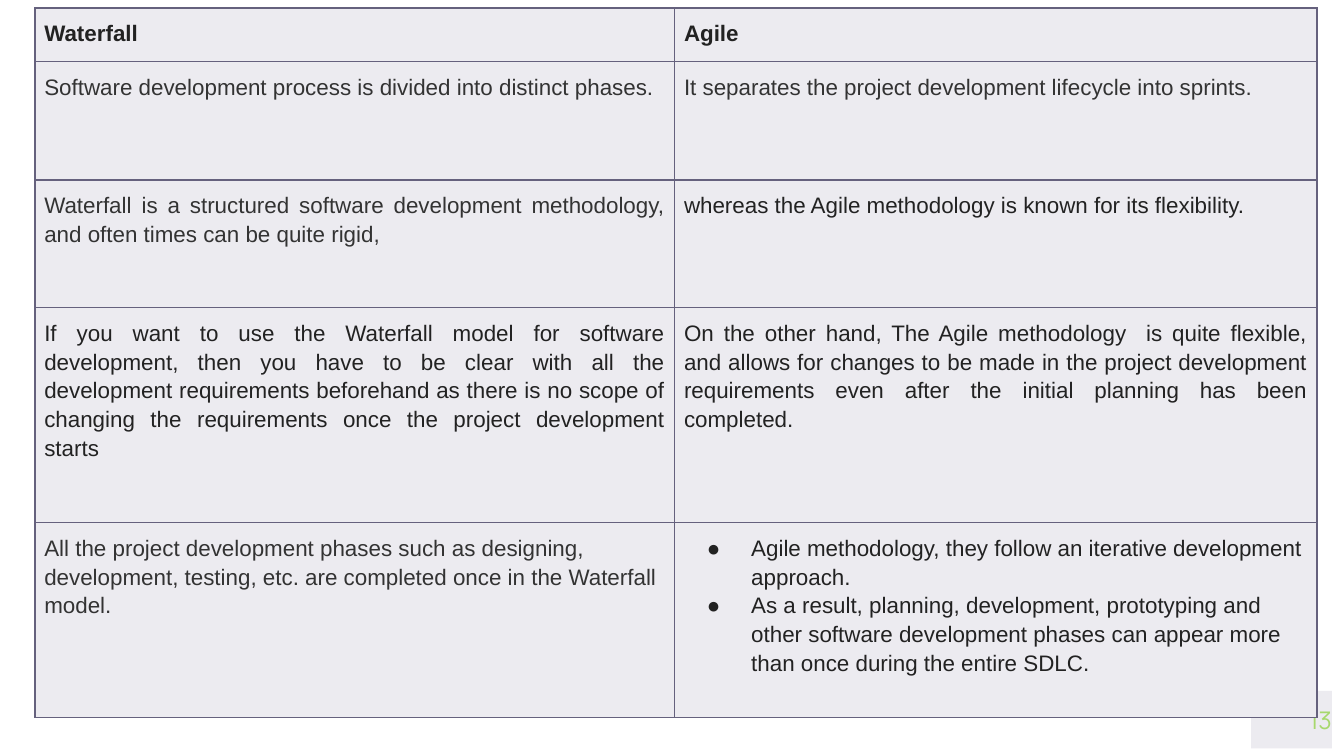
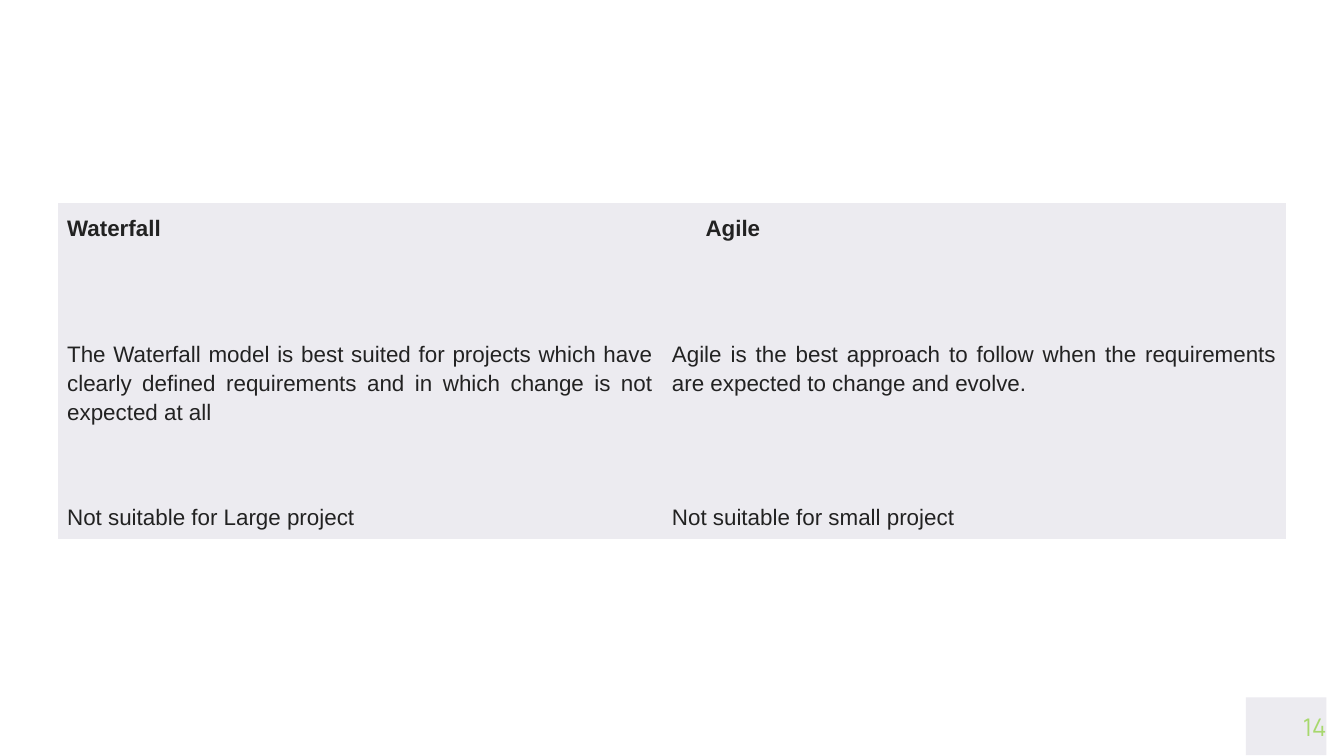
from lxml.etree import SubElement
from pptx import Presentation
from pptx.dml.color import RGBColor
from pptx.enum.shapes import MSO_SHAPE
from pptx.enum.text import MSO_ANCHOR, PP_ALIGN
from pptx.oxml.ns import qn
from pptx.util import Emu, Pt

PX = 9144
PANEL, BORDER, DARK, GREY, GREEN = "ECEBF0", "65617D", "222222", "333333", "A7D86D"
NO_STYLE = "{2D5ABB26-0587-4C30-8999-92F81FD0307C}"


def px(value):
    return Emu(value * PX)


def color(value):
    return RGBColor.from_string(value)


slides = [
    {
        "number": "13", "number_at": (931, 514), "table_at": (26, 6),
        "columns": [476, 478], "rows": [40, 88, 95, 160, 145], "bordered": True,
        "cells": [
            [("Waterfall", DARK), ("Agile", DARK)],
            [("Software development process is divided into distinct phases.", GREY),
             ("It separates the project development lifecycle into sprints.", GREY)],
            [("Waterfall is a structured software development methodology, "
              "and often times can be quite rigid,", GREY),
             ("whereas the Agile methodology is known for its flexibility.", DARK)],
            [("If you want to use the Waterfall model for software development, then you "
              "have to be clear with all the development requirements beforehand as there "
              "is no scope of changing the requirements once the project development starts", DARK),
             ("On the other hand, The Agile methodology  is quite flexible, and allows for "
              "changes to be made in the project development requirements even after the "
              "initial planning has been completed.", DARK)],
            [("All the project development phases such as designing, development, testing, "
              "etc. are completed once in the Waterfall model.", GREY),
             ("Agile methodology, they follow an iterative development approach.\n"
              "As a result, planning, development, prototyping and other software "
              "development phases can appear more than once during the entire SDLC.", DARK)],
        ],
        "left_aligned": [(4, 0), (4, 1)], "bulleted": [(4, 1)], "indents": {(4, 1): (50, -33)},
    },
    {
        "number": "14", "number_at": (927, 519), "table_at": (43, 151),
        "columns": [450, 464], "rows": [94, 121, 29], "bordered": False,
        "cells": [
            [("Waterfall", DARK), ("Agile", DARK)],
            [("The Waterfall model is best suited for projects which have clearly defined "
              "requirements and in which change is not expected at all", DARK),
             ("Agile is the best approach to follow when the requirements are expected to "
              "change and evolve.", DARK)],
            [("Not suitable for Large project", DARK), ("Not suitable for small project", DARK)],
        ],
        "left_aligned": [], "bulleted": [], "indents": {(0, 1): (50, -25)},
    },
]

presentation = Presentation()
presentation.slide_width = px(1000)
presentation.slide_height = Emu(5143500)

for content in slides:
    slide = presentation.slides.add_slide(presentation.slide_layouts[6])

    left, top = content["number_at"]
    shape = slide.shapes.add_shape(MSO_SHAPE.RECTANGLE, px(left), px(top), px(60), px(43))
    shape.shadow.inherit = False
    shape.fill.solid()
    shape.fill.fore_color.rgb = color(PANEL)
    shape.line.fill.background()
    text_frame = shape.text_frame
    text_frame.margin_left = text_frame.margin_right = 0
    text_frame.margin_top = text_frame.margin_bottom = 0
    text_frame.vertical_anchor = MSO_ANCHOR.MIDDLE
    text_frame.text = content["number"]
    paragraph = text_frame.paragraphs[0]
    paragraph.alignment = PP_ALIGN.RIGHT
    font = paragraph.runs[0].font
    font.name, font.size, font.color.rgb = "Manrope", Pt(13), color(GREEN)

    left, top = content["table_at"]
    columns, rows = content["columns"], content["rows"]
    table = slide.shapes.add_table(len(rows), len(columns), px(left), px(top),
                                   px(sum(columns)), px(sum(rows))).table
    table.first_row = table.horz_banding = False
    table._tbl.tblPr.find(qn("a:tableStyleId")).text = NO_STYLE
    for column, width in zip(table.columns, columns):
        column.width = px(width)
    for row, height in zip(table.rows, rows):
        row.height = px(height)

    for row_index, row_cells in enumerate(content["cells"]):
        for column_index, (text, text_color) in enumerate(row_cells):
            place = (row_index, column_index)
            cell = table.cell(row_index, column_index)
            cell.margin_left = cell.margin_right = px(7)
            cell.margin_top = cell.margin_bottom = px(7)
            if content["bordered"]:
                outer_edges = {
                    "a:lnL": column_index == 0,
                    "a:lnR": column_index == len(columns) - 1,
                    "a:lnT": row_index == 0,
                    "a:lnB": row_index == len(rows) - 1,
                }
                properties = cell._tc.get_or_add_tcPr()
                for edge, is_outer in outer_edges.items():
                    width = Pt(1) if is_outer else Pt(0.75)
                    line = SubElement(properties, qn(edge), w=str(width))
                    fill = SubElement(line, qn("a:solidFill"))
                    SubElement(fill, qn("a:srgbClr"), val=BORDER)
            cell.fill.solid()
            cell.fill.fore_color.rgb = color(PANEL)

            cell.text_frame.text = text
            for paragraph in cell.text_frame.paragraphs:
                paragraph_properties = paragraph._p.get_or_add_pPr()
                if place in content["indents"]:
                    margin, indent = content["indents"][place]
                    paragraph_properties.set("marL", str(px(margin)))
                    paragraph_properties.set("indent", str(px(indent)))
                if place in content["bulleted"]:
                    bullet_color = SubElement(paragraph_properties, qn("a:buClr"))
                    SubElement(bullet_color, qn("a:srgbClr"), val=DARK)
                    SubElement(paragraph_properties, qn("a:buFont"), typeface="Arial")
                    SubElement(paragraph_properties, qn("a:buChar"), char="●")
                is_left = place in content["left_aligned"]
                paragraph.alignment = PP_ALIGN.LEFT if is_left else PP_ALIGN.JUSTIFY
                paragraph.line_spacing = 1.15
                font = paragraph.runs[0].font
                font.name, font.size, font.bold = "Arial", Pt(12), row_index == 0
                font.color.rgb = color(text_color)

presentation.save("out.pptx")
